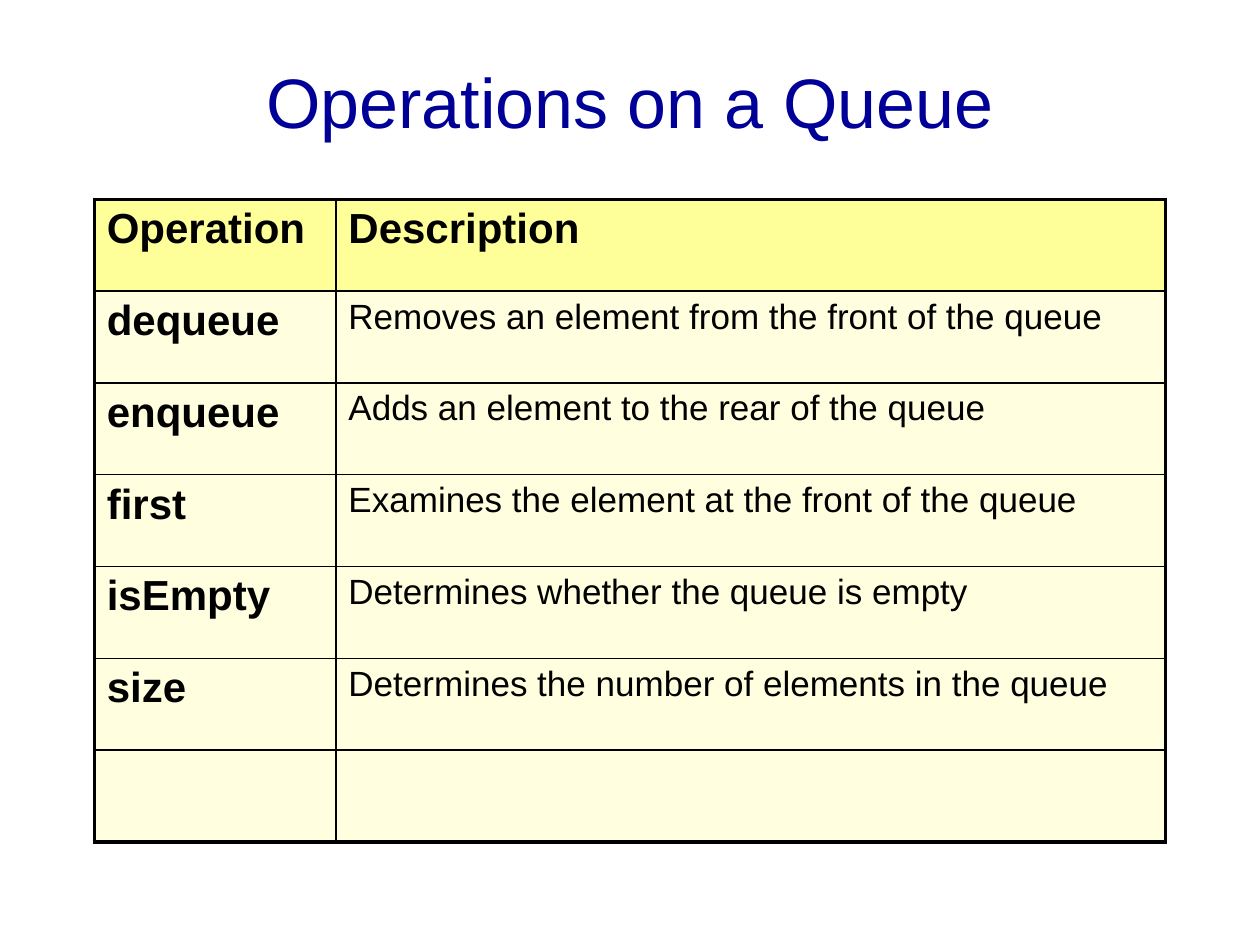
"""Build the slide that lists the operations on a queue."""
from dataclasses import dataclass

from lxml import etree
from pptx import Presentation
from pptx.dml.color import RGBColor
from pptx.enum.text import MSO_ANCHOR, PP_ALIGN
from pptx.oxml.ns import qn
from pptx.util import Cm, Pt

CENTER = PP_ALIGN.CENTER
MIDDLE = MSO_ANCHOR.MIDDLE

TITLE = "Operations on a Queue"
ROWS = [
    ("Operation", "Description"),
    ("dequeue", "Removes an element from the front of the queue"),
    ("enqueue", "Adds an element to the rear of the queue"),
    ("first", "Examines the element at the front of the queue"),
    ("isEmpty", "Determines whether the queue is empty"),
    ("size", "Determines the number of elements in the queue"),
    ("", ""),
]


@dataclass(frozen=True)
class Theme:
    font: str = "Arial"
    title_color: str = "000099"
    text_color: str = "000000"
    border_color: str = "000000"
    header_fill: str = "FFFF99"
    body_fill: str = "FFFFDF"
    title_size: int = 40
    label_size: int = 24
    description_size: int = 20
    outer_border: float = 2.25
    inner_border: float = 1


THEME = Theme()
LEFT = Cm(1.9)
TABLE_TOP = Cm(4.02)
COLUMN_WIDTHS = (Cm(4.87), Cm(16.72))
ROW_HEIGHT = Cm(1.85)
WIDTH = sum(COLUMN_WIDTHS)


def style_text(paragraph, size, color, bold=False):
    font = paragraph.font
    font.name = THEME.font
    font.size = Pt(size)
    font.bold = bold
    font.color.rgb = RGBColor.from_string(color)


def set_borders(cell, outer_sides):
    properties = cell._tc.get_or_add_tcPr()
    for side, is_outer in outer_sides.items():
        width = THEME.outer_border if is_outer else THEME.inner_border
        line = etree.SubElement(properties, qn(f"a:ln{side}"), w=str(Pt(width)))
        fill = etree.SubElement(line, qn("a:solidFill"))
        etree.SubElement(fill, qn("a:srgbClr"), val=THEME.border_color)


def add_title(slide):
    box = slide.shapes.add_textbox(LEFT, Cm(0.43), WIDTH, Cm(3.18))
    frame = box.text_frame
    frame.word_wrap = True
    frame.vertical_anchor = MIDDLE
    paragraph = frame.paragraphs[0]
    paragraph.text = TITLE
    paragraph.alignment = CENTER
    style_text(paragraph, THEME.title_size, THEME.title_color)


def add_operations(slide):
    last_row, last_column = len(ROWS) - 1, len(COLUMN_WIDTHS) - 1
    table = slide.shapes.add_table(
        len(ROWS), len(COLUMN_WIDTHS), LEFT, TABLE_TOP, WIDTH, ROW_HEIGHT * len(ROWS)
    ).table
    table.horz_banding = False
    for column, width in zip(table.columns, COLUMN_WIDTHS):
        column.width = width
    for row, texts in enumerate(ROWS):
        table.rows[row].height = ROW_HEIGHT
        for column, text in enumerate(texts):
            cell = table.cell(row, column)
            set_borders(cell, {
                "L": column == 0,
                "R": column == last_column,
                "T": row == 0,
                "B": row == last_row,
            })
            cell.fill.solid()
            fill = THEME.header_fill if row == 0 else THEME.body_fill
            cell.fill.fore_color.rgb = RGBColor.from_string(fill)
            is_label = row == 0 or column == 0
            size = THEME.label_size if is_label else THEME.description_size
            paragraph = cell.text_frame.paragraphs[0]
            paragraph.text = text
            style_text(paragraph, size, THEME.text_color, is_label)


presentation = Presentation()
presentation.slide_width = Cm(25.4)
presentation.slide_height = Cm(19.05)
slide = presentation.slides.add_slide(presentation.slide_layouts[6])
add_title(slide)
add_operations(slide)
presentation.save("out.pptx")
